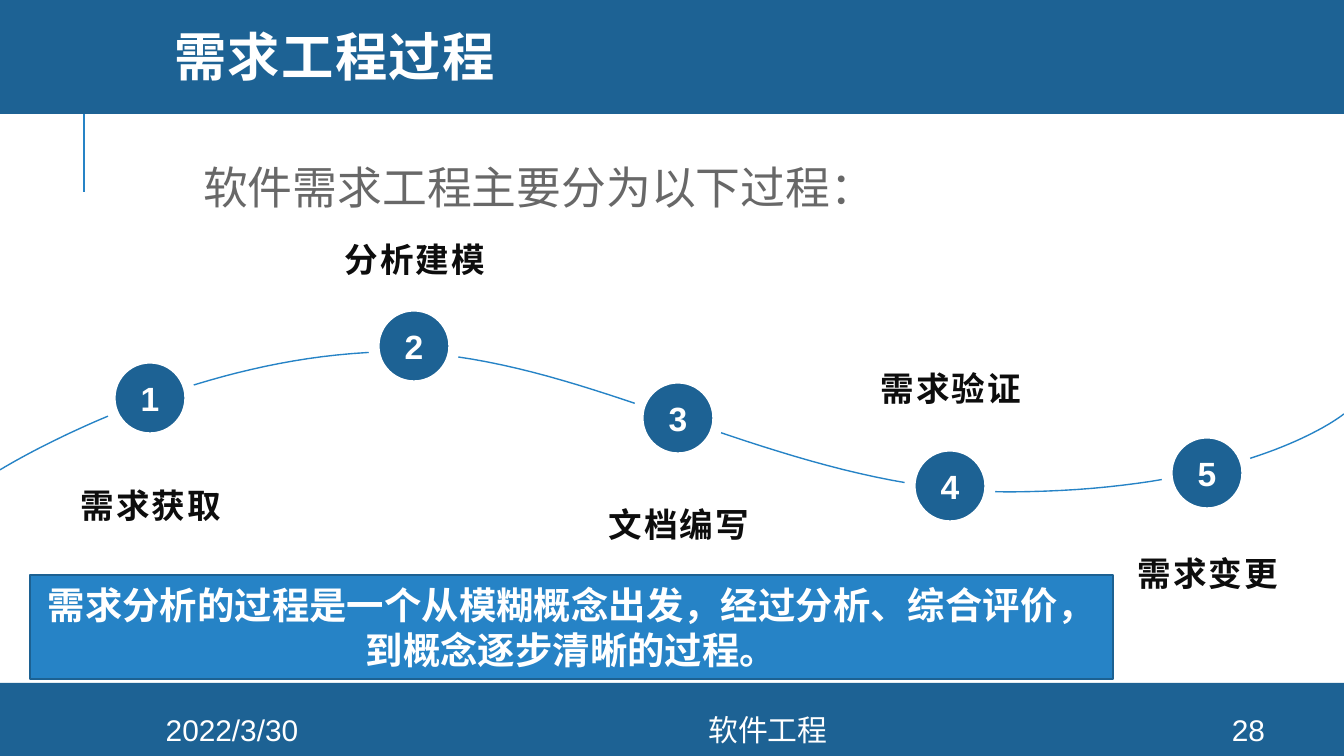
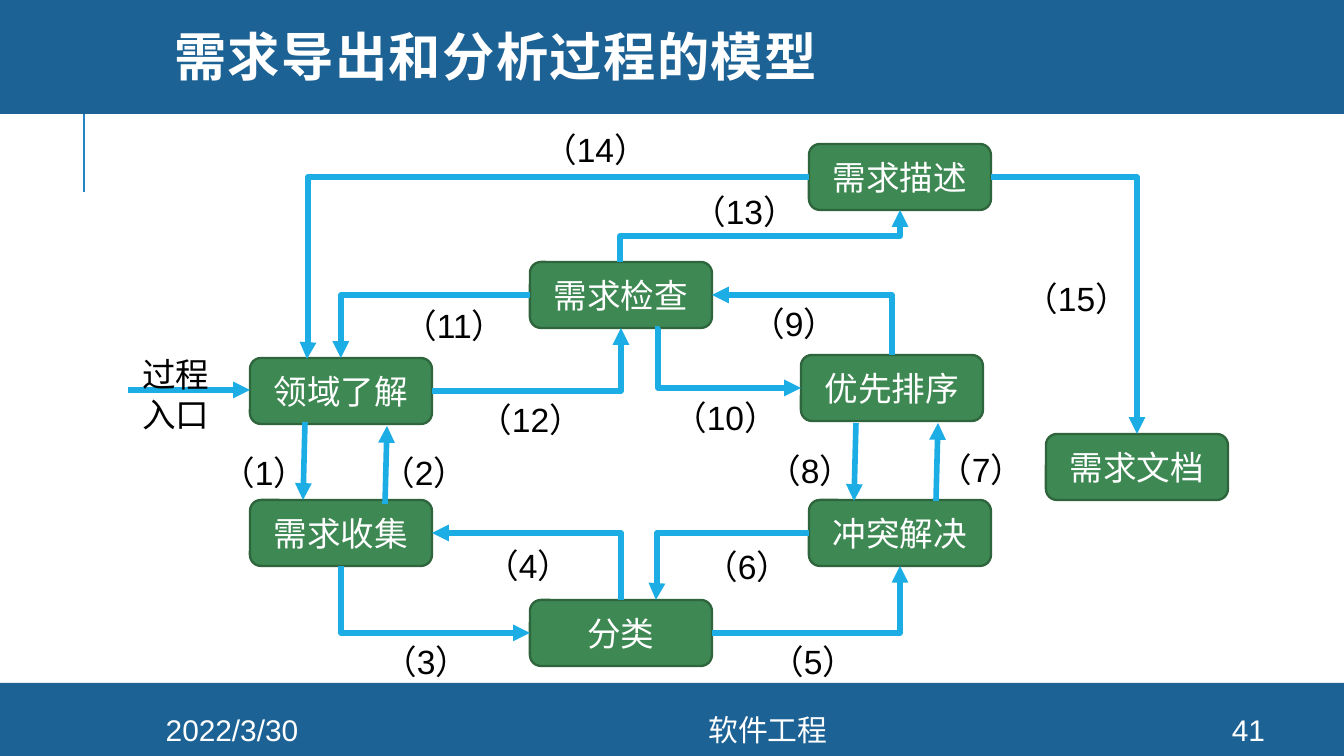
"""Builds two slides on the requirements engineering process."""
from lxml import etree
from pptx import Presentation, util as u
from pptx.dml.color import RGBColor
from pptx.enum import shapes, text
from pptx.oxml.ns import qn

SCALE = 914400 / 134.4
COLORS = {
    "band": "1D6294", "accent": "2683C6", "banner_edge": "1C6192",
    "box": "3E8853", "box_edge": "2E653D", "arrow": "1CADE4",
    "white": "FFFFFF", "black": "000000", "label": "0D0D0D", "intro": "686868",
}
RGB = {name: RGBColor.from_string(value) for name, value in COLORS.items()}
KIND = shapes.MSO_SHAPE
LINK = shapes.MSO_CONNECTOR
CENTER = text.PP_ALIGN.CENTER
MIDDLE = text.MSO_ANCHOR.MIDDLE
TOP, LEFT, BOTTOM, RIGHT = range(4)


def place(slide, kind, box, fill=None, edge=None, weight=1.25):
    lengths = [round(value * SCALE) for value in box]
    if kind is None:
        return slide.shapes.add_textbox(*lengths)
    shape = slide.shapes.add_shape(kind, *lengths)
    shape.shadow.inherit = False
    shape.fill.solid()
    shape.fill.fore_color.rgb = RGB[fill]
    if edge:
        shape.line.color.rgb = RGB[edge]
        shape.line.width = u.Pt(weight)
    else:
        shape.line.fill.background()
    return shape


def write(shape, lines, size, color, bold=False, align=None, anchor=text.MSO_ANCHOR.TOP,
          leading=None, tracking=0, wrap=True, grow=False):
    frame = shape.text_frame
    frame.text = lines
    frame.word_wrap = wrap
    frame.vertical_anchor = anchor
    frame.auto_size = text.MSO_AUTO_SIZE.SHAPE_TO_FIT_TEXT if grow else text.MSO_AUTO_SIZE.NONE
    for paragraph in frame.paragraphs:
        paragraph.alignment = align
        paragraph.line_spacing = leading
        paragraph.font.name = "Arial"
        paragraph.font.size = u.Pt(size)
        paragraph.font.bold = bold
        paragraph.font.color.rgb = RGB[color]
        if tracking:
            for run in paragraph.runs:
                run._r.get_or_add_rPr().set("spc", str(tracking))


presentation = Presentation()
presentation.slide_width = round(1344 * SCALE)
presentation.slide_height = round(756 * SCALE)

slides = []
for title, number in [("需求工程过程", "28"), ("需求导出和分析过程的模型", "41")]:
    slide = presentation.slides.add_slide(presentation.slide_layouts[6])
    slides.append(slide)
    rule = slide.shapes.add_connector(
        LINK.STRAIGHT, *[round(value * SCALE) for value in (84, 192, 84, 91)])
    rule.line.color.rgb = RGB["accent"]
    rule.line.width = u.Pt(1.5)
    place(slide, KIND.RECTANGLE, (0, 683, 1344, 73), "band")
    place(slide, KIND.RECTANGLE, (0, 0, 1344, 114), "band")
    write(place(slide, None, (161, 0, 1141, 122)), title, 28, "white", True,
          anchor=MIDDLE, leading=0.8, tracking=80)
    for left, width, footer in [(113, 238, "2022/3/30"), (351, 834, "软件工程"), (1195, 107, number)]:
        write(place(slide, None, (left, 714, width, 31)), footer, 16, "white",
              align=CENTER, anchor=MIDDLE)
process, model = slides

write(place(process, None, (190, 142, 855, 79)), "软件需求工程主要分为以下过程：",
      24, "intro", leading=1.2, grow=True)

curve = [(1344, 414),
         (1344, 414), (1251, 491), (1009, 492),
         (781, 492), (582, 348), (382, 352),
         (180, 358), (0, 470), (0, 470)]
points = []
for first in range(0, 9, 3):
    controls = curve[first:first + 4]
    for step in range(1, 41):
        t = step / 40
        weights = ((1 - t) ** 3, 3 * t * (1 - t) ** 2, 3 * t * t * (1 - t), t ** 3)
        points.append(tuple(sum(w * point[axis] for w, point in zip(weights, controls))
                            * SCALE for axis in (0, 1)))
builder = process.shapes.build_freeform(round(1344 * SCALE), round(414 * SCALE))
builder.add_line_segments(points, close=False)
wave = builder.convert_to_shape()
wave.shadow.inherit = False
wave.fill.background()
wave.line.color.rgb = RGB["accent"]
wave.line.width = u.Pt(0.75)

steps = [("需求获取", 110, 358, 458), ("分析建模", 374, 306, 211), ("文档编写", 638, 378, 477),
         ("需求验证", 910, 446, 340), ("需求变更", 1167, 433, 526)]
for number, (name, left, top, label_top) in enumerate(steps, 1):
    circle = place(process, KIND.OVAL, (left, top, 80, 80), "band", "white", 6)
    write(circle, str(number), 18, "white", True, CENTER, MIDDLE)
    anchor = text.MSO_ANCHOR.BOTTOM if label_top < top else text.MSO_ANCHOR.TOP
    write(place(process, None, (left - 53, label_top, 188, 75)), name, 18, "label", True,
          CENTER, anchor, 1.5, 110, grow=True)

banner = place(process, KIND.RECTANGLE, (30, 575, 1083, 104), "accent", "banner_edge")
write(banner, "需求分析的过程是一个从模糊概念出发，经过分析、综合评价，到概念逐步清晰的过程。",
      20, "white", True, CENTER, MIDDLE, grow=True)

boxes = {}
for name, left, top in [
        ("需求检查", 530, 262), ("领域了解", 250, 358), ("优先排序", 801, 355),
        ("需求收集", 250, 500), ("冲突解决", 809, 500), ("分类", 530, 600),
        ("需求文档", 1046, 434), ("需求描述", 809, 144)]:
    boxes[name] = place(model, KIND.ROUNDED_RECTANGLE, (left, top, 182, 66), "box", "box_edge")
    write(boxes[name], name, 18, "white", align=CENTER, anchor=MIDDLE)

arrows = []
for ends, head in [((128, 390, 250, 390), "a:tailEnd"),
                   ((305, 422, 303, 500), "a:tailEnd"), ((387, 426, 385, 504), "a:headEnd"),
                   ((856, 423, 854, 501), "a:tailEnd"), ((938, 423, 936, 501), "a:headEnd")]:
    arrow = model.shapes.add_connector(LINK.STRAIGHT, *[round(value * SCALE) for value in ends])
    arrows.append((arrow, head))

for start, start_site, end, end_site, head in [
        ("需求检查", LEFT, "领域了解", TOP, "a:tailEnd"),
        ("领域了解", RIGHT, "需求检查", BOTTOM, "a:tailEnd"),
        ("需求收集", RIGHT, "分类", TOP, "a:headEnd"),
        ("分类", LEFT, "需求收集", BOTTOM, "a:headEnd"),
        ("分类", RIGHT, "冲突解决", BOTTOM, "a:tailEnd"),
        ("需求检查", RIGHT, "优先排序", TOP, "a:headEnd"),
        ("需求描述", RIGHT, "需求文档", TOP, "a:tailEnd")]:
    arrow = model.shapes.add_connector(LINK.ELBOW, 0, 0, 0, 0)
    arrow.begin_connect(boxes[start], start_site)
    arrow.end_connect(boxes[end], end_site)
    arrow._element.spPr.find(qn("a:prstGeom")).set("prst", "bentConnector2")
    arrows.append((arrow, head))

for start, x, y, bend, head in [("需求描述", 307, 359, 99800, "a:tailEnd"),
                                ("冲突解决", 656, 600, 99400, "a:tailEnd"),
                                ("优先排序", 655, 329, 97900, "a:headEnd")]:
    arrow = model.shapes.add_connector(LINK.ELBOW, 0, 0, round(x * SCALE), round(y * SCALE))
    arrow.begin_connect(boxes[start], LEFT)
    adjustments = arrow._element.spPr.find(qn("a:prstGeom")).find(qn("a:avLst"))
    etree.SubElement(adjustments, qn("a:gd"), name="adj1", fmla=f"val {bend}")
    arrows.append((arrow, head))

arrow = model.shapes.add_connector(LINK.ELBOW, 0, 0, 0, 0)
arrow.begin_connect(boxes["需求描述"], BOTTOM)
arrow.end_connect(boxes["需求检查"], TOP)
arrow.left, arrow.top, arrow.width, arrow.height = [
    round(value * SCALE) for value in (734, 96, 52, 280)]
transform = arrow._element.spPr.find(qn("a:xfrm"))
transform.set("rot", "5400000")
transform.set("flipH", "0")
transform.set("flipV", "0")
arrows.append((arrow, "a:headEnd"))

for arrow, head in arrows:
    arrow.line.color.rgb = RGB["arrow"]
    arrow.line.width = u.Pt(3)
    etree.SubElement(arrow._element.spPr.find(qn("a:ln")), qn(head), type="triangle")

write(place(model, None, (129, 347, 109, 95)), "过程\n入口", 18, "black", wrap=False, grow=True)
labels = [(208, 445), (368, 445), (370, 634), (472, 538), (757, 634), (691, 539), (925, 442),
          (754, 443), (738, 296), (660, 390), (390, 298), (465, 392), (679, 184), (530, 122),
          (1011, 271)]
for number, (left, top) in enumerate(labels, 1):
    width = 132 if number < 10 else 155
    write(place(model, None, (left, top, width, 54)), f"（{number}）", 18, "black",
          wrap=False, grow=True)

for slide in slides:
    for shape in slide.shapes:
        if shape.shape_type == shapes.MSO_SHAPE_TYPE.LINE:
            etree.SubElement(shape._element.spPr, qn("a:effectLst"))

presentation.save("out.pptx")
